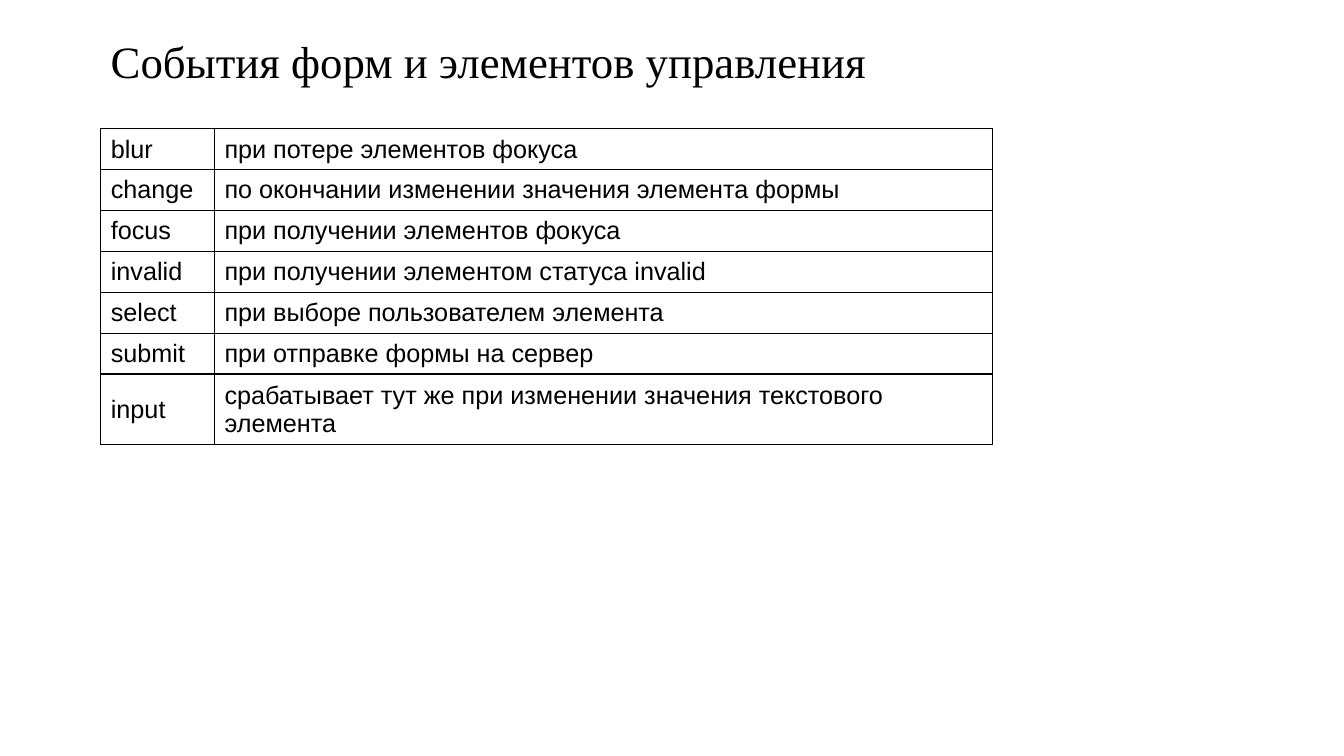
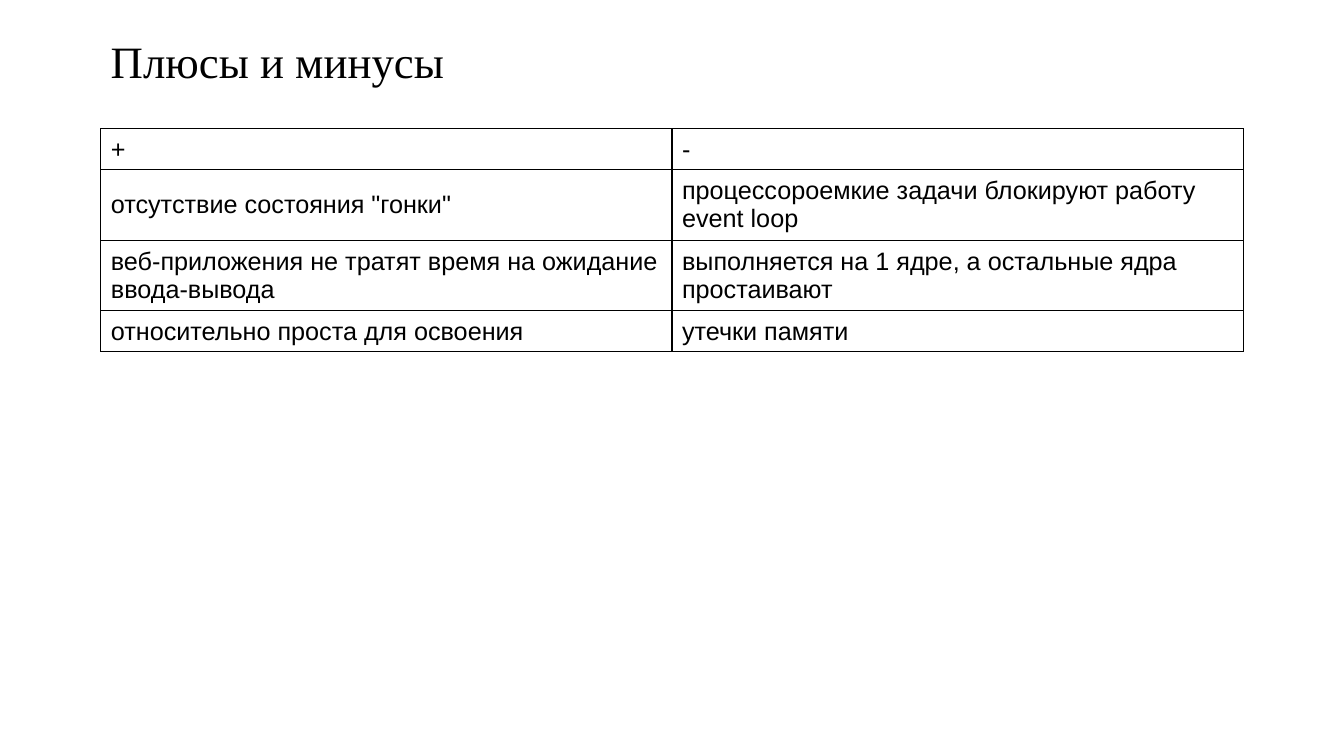
from dataclasses import dataclass

from lxml import etree
from pptx import Presentation
from pptx.dml.color import RGBColor
from pptx.enum.text import MSO_ANCHOR
from pptx.oxml.ns import qn
from pptx.util import Pt

MIDDLE = MSO_ANCHOR.MIDDLE
BLANK_LAYOUT = 6


@dataclass(frozen=True)
class Theme:
    ink: str = "000000"
    title_font: str = "Times New Roman"
    title_size: float = 32
    body_font: str = "Arial"
    body_size: float = 18
    border: float = 1
    left: float = 72
    title_height: float = 92
    title_width: float = 816
    row_height: float = 29.2


class Deck:
    def __init__(self, theme):
        self.theme = theme
        self.prs = Presentation()
        self.prs.slide_width, self.prs.slide_height = Pt(960), Pt(540)
        self.s = None

    def slide(self, title):
        self.s = self.prs.slides.add_slide(self.prs.slide_layouts[BLANK_LAYOUT])
        self.title(title)

    def add_text(self, p, text, font, size):
        r = p.add_run()
        r.text = text
        for name, value in {"name": font, "size": Pt(size), "bold": False}.items():
            setattr(r.font, name, value)
        r.font.color.rgb = RGBColor.from_string(self.theme.ink)

    def title(self, text):
        t = self.theme
        sp = self.s.shapes.add_textbox(Pt(t.left), 0, Pt(t.title_width), Pt(t.title_height))
        tf = sp.text_frame
        for name, value in {"word_wrap": True, "vertical_anchor": MIDDLE}.items():
            setattr(tf, name, value)
        p = tf.paragraphs[0]
        p.line_spacing = 0.9
        self.add_text(p, text, t.title_font, t.title_size)

    def table(self, widths, rows):
        t = self.theme
        tbl = self.s.shapes.add_table(
            len(rows), len(widths), Pt(t.left), Pt(t.title_height),
            Pt(sum(widths)), Pt(t.row_height * len(rows))).table
        for name in ("first_row", "horz_banding"):
            setattr(tbl, name, False)
        for column, width in zip(tbl.columns, widths):
            column.width = Pt(width)
        for i, row in enumerate(rows):
            for j, text in enumerate(row):
                cell = tbl.cell(i, j)
                cell.vertical_anchor = MIDDLE
                cell.fill.background()
                self.add_text(cell.text_frame.paragraphs[0], text, t.body_font, t.body_size)
                self.outline(cell)

    def outline(self, cell):
        # Borders must come before the fill in the cell properties
        tc_pr = cell._tc.get_or_add_tcPr()
        for i, side in enumerate(("lnL", "lnR", "lnT", "lnB")):
            ln = etree.Element(qn("a:" + side), w=str(Pt(self.theme.border)))
            fill = etree.SubElement(ln, qn("a:solidFill"))
            etree.SubElement(fill, qn("a:srgbClr"), val=self.theme.ink)
            tc_pr.insert(i, ln)


def main():
    deck = Deck(Theme())

    # Form events
    deck.slide("События форм и элементов управления")
    deck.table((81.2, 556), [
        ("blur", "при потере элементов фокуса"),
        ("change", "по окончании изменении значения элемента формы"),
        ("focus", "при получении элементов фокуса"),
        ("invalid", "при получении элементом статуса invalid"),
        ("select", "при выборе пользователем элемента"),
        ("submit", "при отправке формы на сервер"),
        ("input", "срабатывает тут же при изменении значения текстового элемента"),
    ])

    # Pros and cons
    deck.slide("Плюсы и минусы")
    deck.table((408, 408), [
        ("+", "-"),
        ('отсутствие состояния "гонки"',
         "процессороемкие задачи блокируют работу event loop"),
        ("веб-приложения не тратят время на ожидание ввода-вывода",
         "выполняется на 1 ядре, а остальные ядра простаивают"),
        ("относительно проста для освоения", "утечки памяти"),
    ])

    deck.prs.save("out.pptx")


if __name__ == "__main__":
    main()
